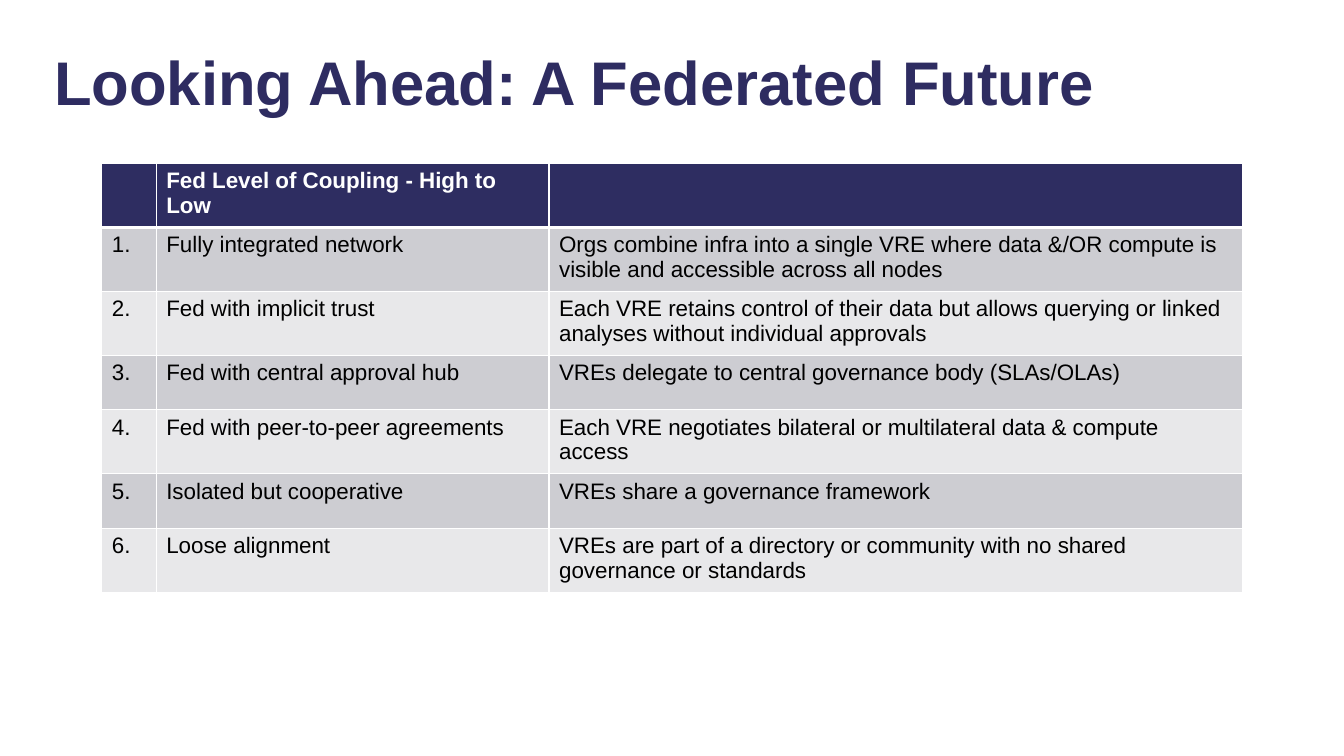
"""Build the slide about levels of coupling in a federated future."""
from lxml.etree import SubElement
from pptx import Presentation
from pptx.dml.color import RGBColor
from pptx.enum.text import MSO_ANCHOR
from pptx.oxml.ns import qn
from pptx.util import Pt


def set_font(paragraph, size, color, bold):
    font = paragraph.font
    font.name = "Arial"
    font.size = Pt(size)
    font.bold = bold
    font.color.rgb = RGBColor.from_string(color)


def add_border(cell, side, width):
    line = SubElement(cell._tc.get_or_add_tcPr(), qn(f"a:ln{side}"), w=str(Pt(width)))
    fill = SubElement(line, qn("a:solidFill"))
    SubElement(fill, qn("a:srgbClr"), val="FFFFFF")


presentation = Presentation()
presentation.slide_width = Pt(960)
presentation.slide_height = Pt(540)
slide = presentation.slides.add_slide(presentation.slide_layouts[6])

title = slide.shapes.add_textbox(Pt(31.7), Pt(27.4), Pt(887.8), Pt(60.5))
title_frame = title.text_frame
title_frame.word_wrap = True
title_frame.vertical_anchor = MSO_ANCHOR.BOTTOM
title_frame.text = "Looking Ahead: A Federated Future"
set_font(title_frame.paragraphs[0], 44, "2E2C61", True)

levels = [
    ("Fully integrated network",
     "Orgs combine infra into a single VRE where data &/OR compute is visible and accessible across all nodes"),
    ("Fed with implicit trust",
     "Each VRE retains control of their data but allows querying or linked analyses without individual approvals"),
    ("Fed with central approval hub",
     "VREs delegate to central governance body (SLAs/OLAs)"),
    ("Fed with peer-to-peer agreements",
     "Each VRE negotiates bilateral or multilateral data & compute access"),
    ("Isolated but cooperative",
     "VREs share a governance framework"),
    ("Loose alignment",
     "VREs are part of a directory or community with no shared governance or standards"),
]
rows = [("", "Fed Level of Coupling - High to Low", "")]
rows += [(f"{number}.", *level) for number, level in enumerate(levels, 1)]
column_widths = [38.9, 280.6, 495.2]
row_heights = [45.7, 45.7, 45.7, 38.9, 45.7, 38.9, 45.7]

table = slide.shapes.add_table(
    len(rows), len(column_widths), Pt(72.7), Pt(116.8),
    Pt(sum(column_widths)), Pt(sum(row_heights))).table
for column, width in zip(table.columns, column_widths):
    column.width = Pt(width)

for row_index, texts in enumerate(rows):
    table.rows[row_index].height = Pt(row_heights[row_index])
    is_header = row_index == 0
    if is_header:
        fill_color = "2E2D61"
    else:
        fill_color = "CDCDD2" if row_index % 2 else "E8E8EA"
    for column_index, text in enumerate(texts):
        cell = table.cell(row_index, column_index)
        add_border(cell, "L", 1)
        add_border(cell, "R", 1)
        add_border(cell, "T", 3 if row_index == 1 else 1)
        add_border(cell, "B", 3 if is_header else 1)
        cell.fill.solid()
        cell.fill.fore_color.rgb = RGBColor.from_string(fill_color)
        cell.text = text
        set_font(cell.text_frame.paragraphs[0], 16,
                 "FFFFFF" if is_header else "000000", is_header)

presentation.save("out.pptx")
